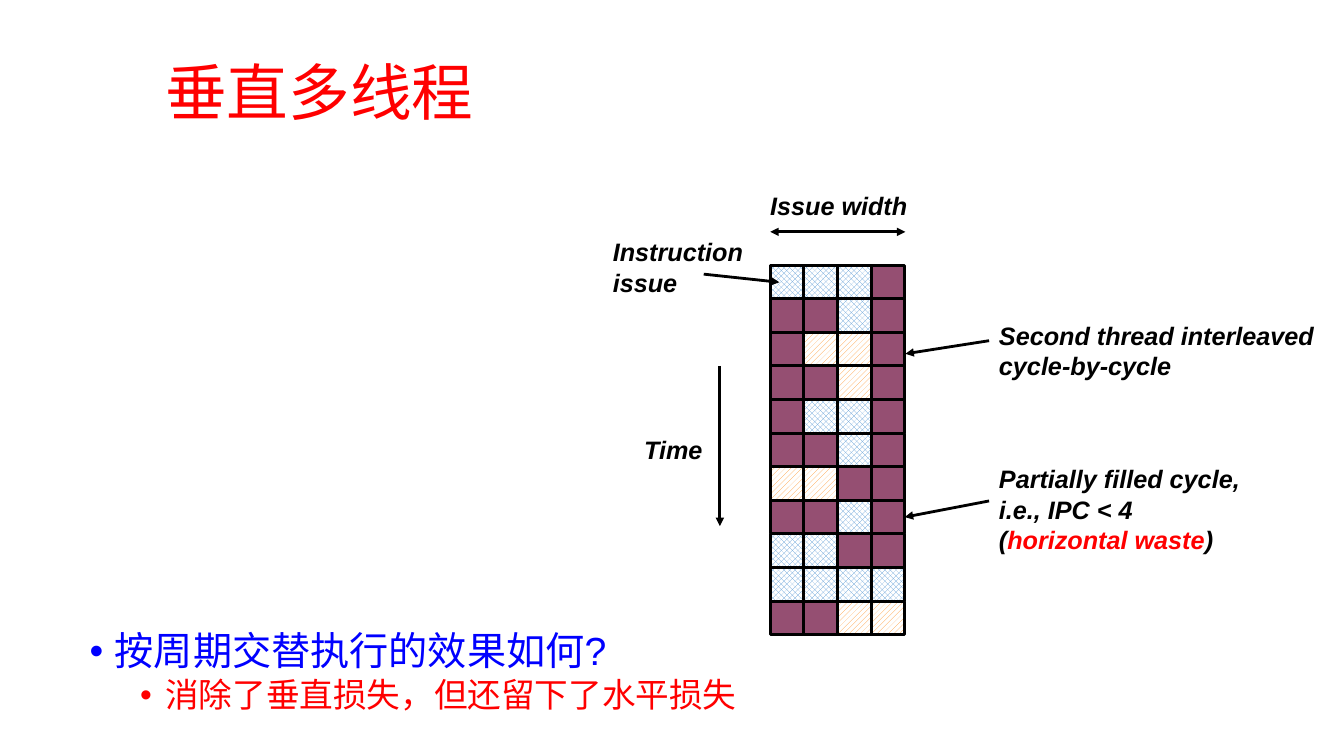
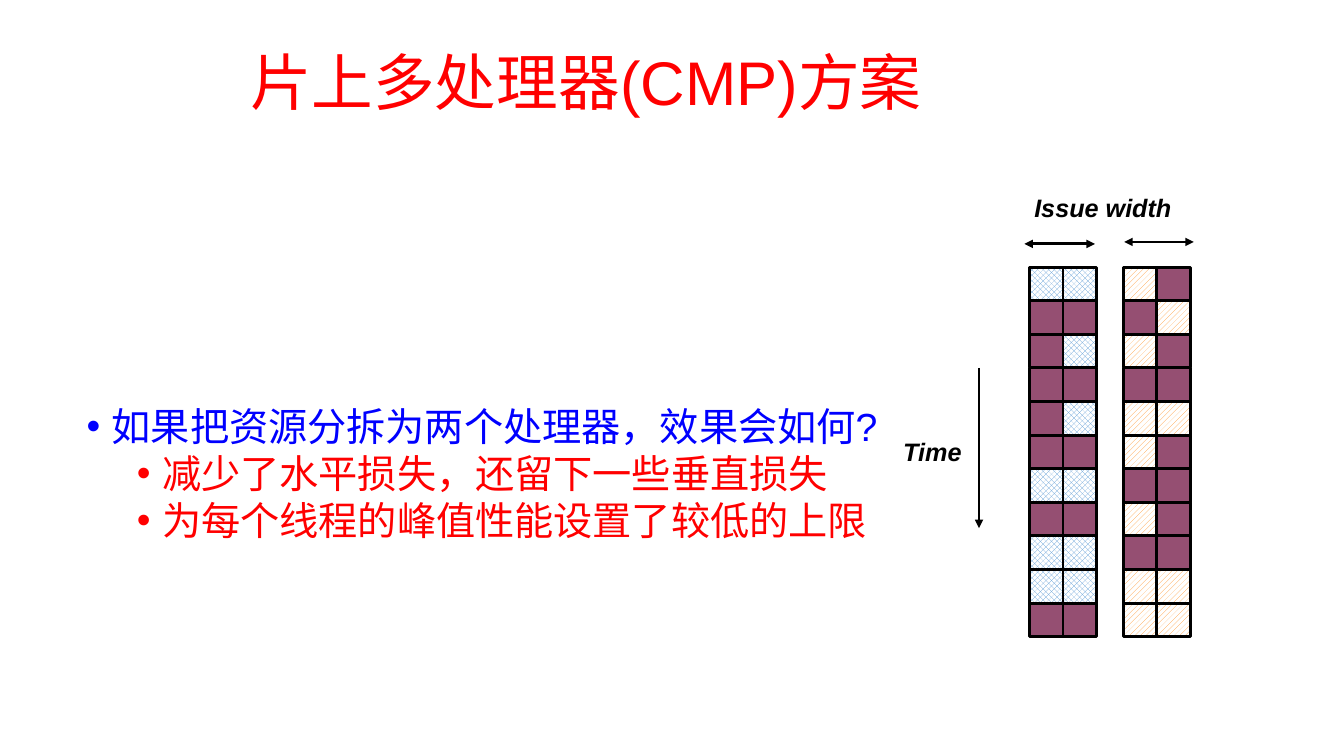
"""Build two slides on vertical multithreading and chip multiprocessing."""
from dataclasses import dataclass

import lxml.etree
import pptx
import pptx.dml.color
import pptx.enum.dml
import pptx.enum.shapes
import pptx.enum.text
import pptx.oxml.ns
import pptx.util

Inches = pptx.util.Inches
Pt = pptx.util.Pt
Pattern = pptx.enum.dml.MSO_PATTERN_TYPE
qn = pptx.oxml.ns.qn


def rgb(code):
    """Return the colour for a hexadecimal code."""
    return pptx.dml.color.RGBColor.from_string(code)


@dataclass(frozen=True)
class Theme:
    """Colours, type sizes and measures shared by the slides."""
    font: str = "Arial"
    red: str = "FF0000"
    blue: str = "0000FF"
    ink: str = "000000"
    paper: str = "FFFFFF"
    idle: str = "954F72"
    first_thread: str = "5B9BD5"
    second_thread: str = "FF9933"
    title_size: int = 44
    question_size: int = 28
    label_size: int = 18
    line_width: int = 2
    slot: float = 1 / 3


THEME = Theme()
THREADS = {
    "A": (Pattern.SOLID_DIAMOND, THEME.first_thread),
    "B": (Pattern.WIDE_UPWARD_DIAGONAL, THEME.second_thread),
}
INTERLEAVED = "AAA. ..A. .BB. ..B. .AA. ..A. BB.. ..A. AA.. AAAA ..BB"
FIRST_CORE = "AA .. .A .. .A .. AA .. AA AA .."
SECOND_CORE = "B. .B B. .. BB B. .. B. .. BB BB"


def style_font(font, size, color, emphasis=None):
    """Apply the deck's typeface with a size and colour."""
    font.name = THEME.font
    font.size = Pt(size)
    font.color.rgb = rgb(color)
    font.bold = font.italic = emphasis


def add_titled_slide(deck, text, left, top):
    """Add a title-only slide with its title in place."""
    slide = deck.slides.add_slide(deck.slide_layouts[5])
    title = slide.shapes.title
    title.left, title.top = Inches(left), Inches(top)
    title.width, title.height = Inches(7.83), Inches(1)
    frame = title.text_frame
    frame.text = text
    frame.auto_size = pptx.enum.text.MSO_AUTO_SIZE.NONE
    frame.vertical_anchor = pptx.enum.text.MSO_ANCHOR.MIDDLE
    paragraph = frame.paragraphs[0]
    paragraph.alignment = pptx.enum.text.PP_ALIGN.LEFT
    paragraph.line_spacing = 0.9
    style_font(paragraph.font, THEME.title_size, THEME.red)
    return slide


def add_bullet(paragraph, text, level, size, color):
    """Fill a paragraph as a bullet at the given level."""
    paragraph.text = text
    paragraph.level = level
    properties = paragraph._p.get_or_add_pPr()
    properties.set("marL", str(Inches(0.25 + 0.5 * level)))
    properties.set("indent", str(-Inches(0.25)))
    lxml.etree.SubElement(properties, qn("a:buFont"), typeface=THEME.font)
    lxml.etree.SubElement(properties, qn("a:buChar"), char="•")
    style_font(paragraph.font, size, color)


def add_discussion(slide, left, top, height, question, answers, answer_size):
    """Add a question with its answers indented below."""
    box = slide.shapes.add_textbox(Inches(left), Inches(top), Inches(8.58), Inches(height))
    frame = box.text_frame
    frame.word_wrap = True
    add_bullet(frame.paragraphs[0], question, 0, THEME.question_size, THEME.blue)
    frame.paragraphs[0].line_spacing = 0.9
    for answer in answers:
        add_bullet(frame.add_paragraph(), answer, 1, answer_size, THEME.red)


def add_label(slide, left, top, width, height, text, wrap=False):
    """Add a bold italic diagram label and return its text frame."""
    box = slide.shapes.add_textbox(Inches(left), Inches(top), Inches(width), Inches(height))
    frame = box.text_frame
    frame.word_wrap = wrap
    frame.auto_size = pptx.enum.text.MSO_AUTO_SIZE.SHAPE_TO_FIT_TEXT
    frame.text = text
    style_font(frame.paragraphs[0].font, THEME.label_size, THEME.ink, True)
    return frame


def add_arrow(slide, start, end, both_ends=False):
    """Add a line with an arrowhead at its end, or at both ends."""
    arrow = slide.shapes.add_connector(
        pptx.enum.shapes.MSO_CONNECTOR.STRAIGHT, *(Inches(v) for v in (*start, *end)))
    arrow.line.width = Pt(THEME.line_width)
    arrow.line.color.rgb = rgb(THEME.ink)
    outline = arrow.line._get_or_add_ln()
    for tag in ("a:headEnd", "a:tailEnd") if both_ends else ("a:tailEnd",):
        lxml.etree.SubElement(outline, qn(tag), type="triangle")
    lxml.etree.SubElement(arrow._element.spPr, qn("a:effectLst"))
    return arrow


def add_slot(slide, left, top, thread):
    """Add one issue slot, filled by a thread or idle."""
    slot = slide.shapes.add_shape(
        pptx.enum.shapes.MSO_SHAPE.RECTANGLE,
        *(Inches(v) for v in (left, top, THEME.slot, THEME.slot)))
    slot.shadow.inherit = False
    slot.line.color.rgb = rgb(THEME.ink)
    slot.line.width = Pt(THEME.line_width)
    if thread in THREADS:
        pattern, color = THREADS[thread]
        slot.fill.patterned()
        slot.fill.pattern = pattern
        slot.fill.fore_color.rgb = rgb(color)
        slot.fill.back_color.rgb = rgb(THEME.paper)
    else:
        slot.fill.solid()
        slot.fill.fore_color.rgb = rgb(THEME.idle)
    return slot


def add_pipeline(slide, left, top, cycles):
    """Add a grid of issue slots, one row per cycle, and return its rows."""
    return [[add_slot(slide, left + column * THEME.slot, top + row * THEME.slot, thread)
             for column, thread in enumerate(cycle)]
            for row, cycle in enumerate(cycles.split())]


def add_time_axis(slide, left, top):
    """Add the downward time arrow and its label."""
    add_arrow(slide, (left, top), (left, top + 1.59))
    add_label(slide, left - 0.85, top + 0.63, 0.78, 0.4, "Time")


def build_vertical_multithreading(deck):
    """Build the slide on cycle-by-cycle interleaving."""
    slide = add_titled_slide(deck, "垂直多线程", 1.54, 0.45)
    add_discussion(slide, 0.79, 6.22, 0.92, "按周期交替执行的效果如何?",
                   ["消除了垂直损失，但还留下了水平损失"], 24)
    cycles = add_pipeline(slide, 7.64, 2.63, INTERLEAVED)
    add_arrow(slide, (7.64, 2.3), (8.98, 2.3), both_ends=True)
    add_label(slide, 7.54, 1.84, 1.56, 0.4, "Issue width")
    add_time_axis(slide, 7.14, 3.63)
    add_label(slide, 9.81, 3.13, 3.5, 0.7,
              "Second thread interleaved cycle-by-cycle", wrap=True)
    add_arrow(slide, (9.81, 3.38), (8.98, 3.51))
    add_label(slide, 5.98, 2.3, 1.52, 0.7, "Instruction issue", wrap=True)
    add_arrow(slide, (6.98, 2.72), (7.73, 2.8))
    waste = add_label(slide, 9.81, 4.55, 2.67, 1,
                      "Partially filled cycle, i.e., IPC < 4", wrap=True).add_paragraph()
    style_font(waste.font, THEME.label_size, THEME.ink, True)
    for text in ("(", "horizontal waste", ")"):
        run = waste.add_run()
        run.text = text
        if len(text) > 1:
            run.font.color.rgb = rgb(THEME.red)
    waste_arrow = add_arrow(slide, (9.81, 4.97), (8.98, 5.13))
    waste_arrow.end_connect(cycles[7][-1], 3)


def build_chip_multiprocessor(deck):
    """Build the slide on splitting resources between two processors."""
    slide = add_titled_slide(deck, "片上多处理器(CMP)方案", 2.38, 0.35)
    add_discussion(slide, 0.76, 3.99, 1.41, "如果把资源分拆为两个处理器，效果会如何?",
                   ["减少了水平损失，还留下一些垂直损失",
                    "为每个线程的峰值性能设置了较低的上限"], 28)
    add_pipeline(slide, 10.21, 2.65, FIRST_CORE)
    add_pipeline(slide, 11.14, 2.65, SECOND_CORE)
    add_arrow(slide, (10.16, 2.42), (10.86, 2.42), both_ends=True)
    add_arrow(slide, (11.15, 2.4), (11.84, 2.4), both_ends=True)
    add_label(slide, 10.16, 1.86, 1.56, 0.4, "Issue width")
    add_time_axis(slide, 9.71, 3.65)


def main():
    """Build and save the presentation."""
    deck = pptx.Presentation()
    deck.slide_width, deck.slide_height = Inches(13.33), Inches(7.5)
    build_vertical_multithreading(deck)
    build_chip_multiprocessor(deck)
    deck.save("out.pptx")


if __name__ == "__main__":
    main()
